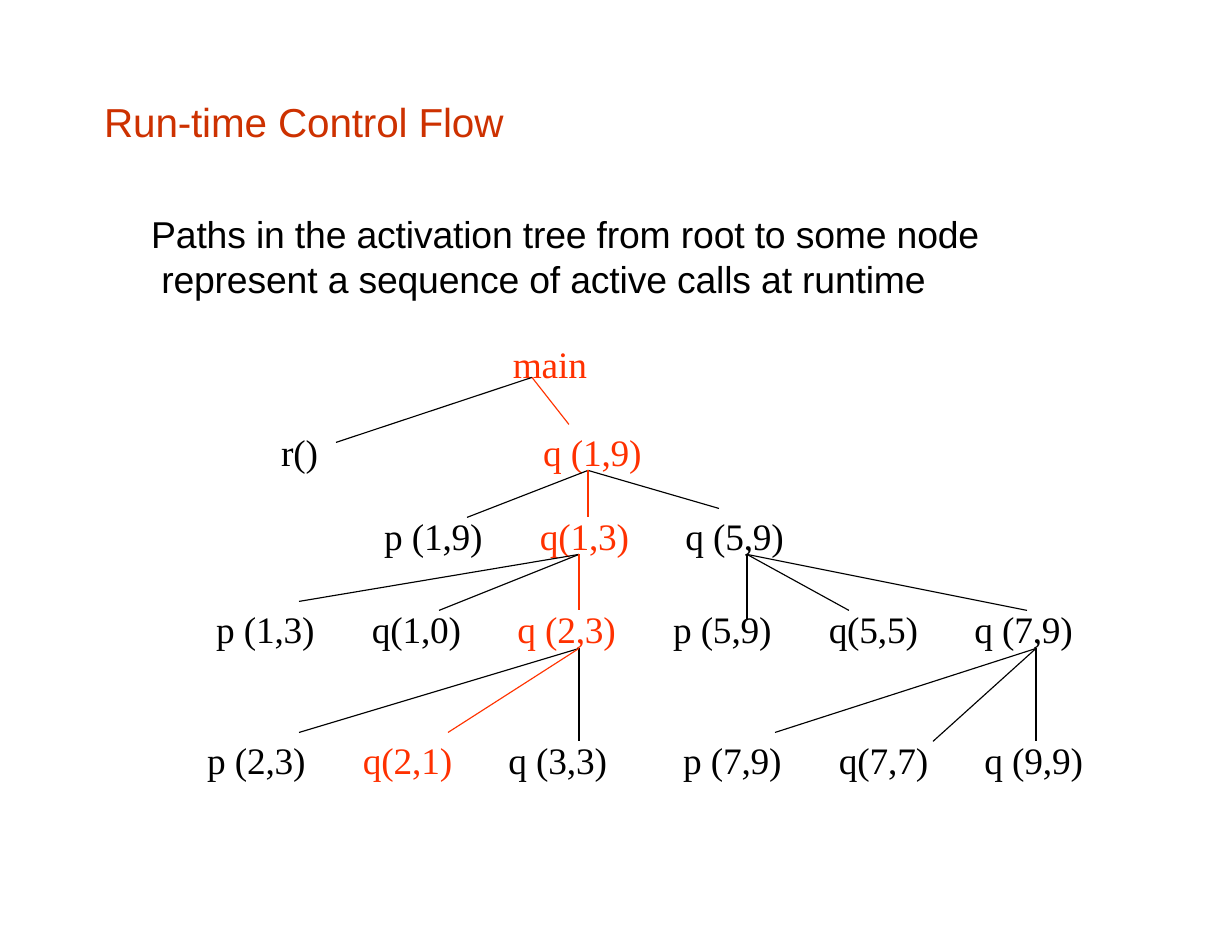
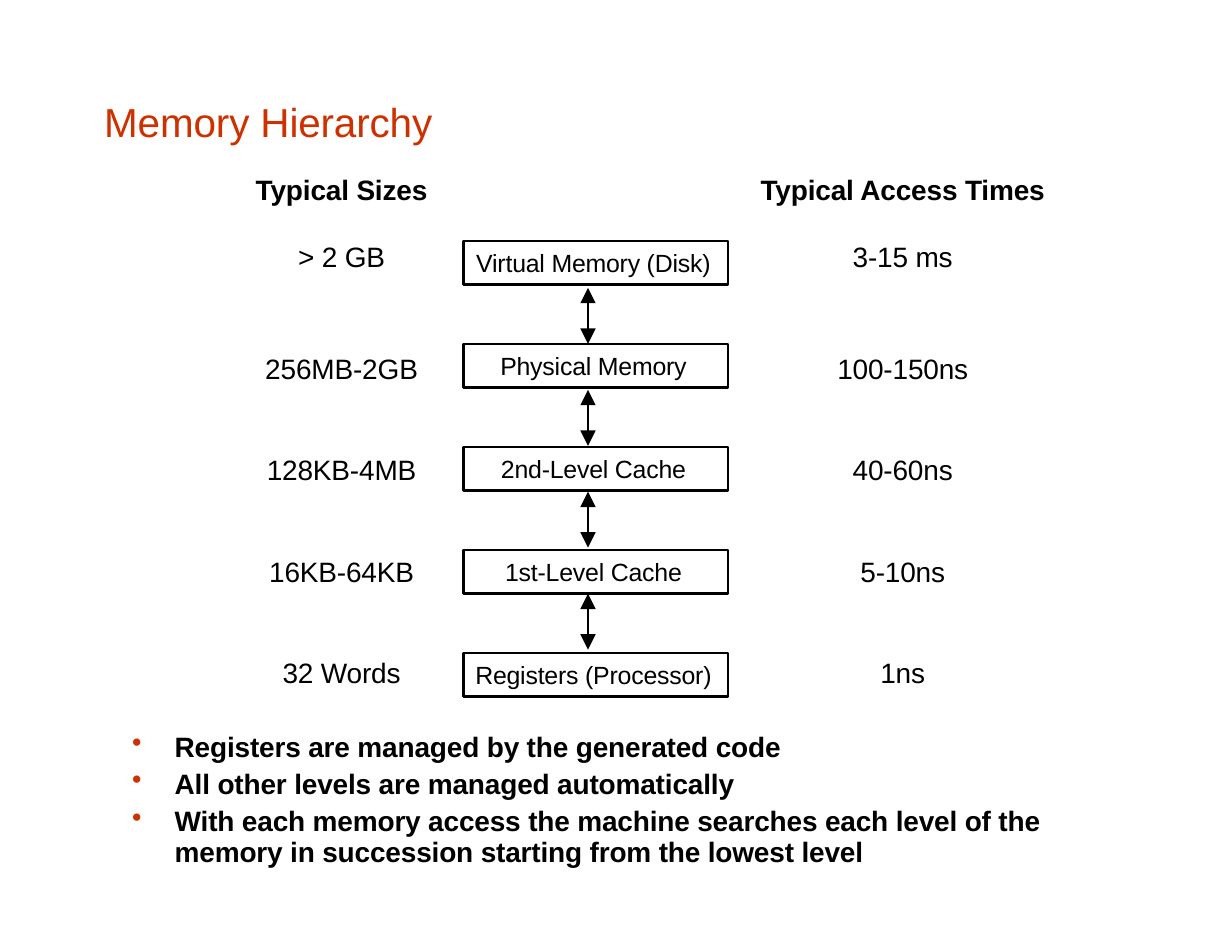
"""Builds two slides: a tree of procedure activations and the memory hierarchy."""
from lxml.etree import SubElement
from pptx import Presentation
from pptx.dml.color import RGBColor
from pptx.enum.shapes import MSO_CONNECTOR as Link, MSO_SHAPE as Preset
from pptx.enum.text import MSO_ANCHOR as Anchor, PP_ALIGN as Align
from pptx.oxml.ns import qn
from pptx.util import Inches, Pt

COLUMNS, ROWS = 11, 8.5
BLACK, TITLE_RED, CALL_RED, PATH_RED = "000000", "CD3100", "FF3100", "FF3300"
SANS, SERIF = "Arial", "Times New Roman"


def color(code):
    return RGBColor.from_string(code)


class Deck:
    def __init__(self):
        self.show = Presentation()
        self.show.slide_width, self.show.slide_height = Inches(11), Inches(8.5)
        self.shapes = None

    def x(self, columns):
        return round(self.show.slide_width * columns / COLUMNS)

    def y(self, rows):
        return round(self.show.slide_height * rows / ROWS)

    def cell(self, left, top, width, height):
        return self.x(left), self.y(top), self.x(width), self.y(height)

    def slide(self, title):
        self.shapes = self.show.slides.add_slide(self.show.slide_layouts[6]).shapes
        self.text(title, (0.93, 0.87, 9.16, 0.46), size=26, ink=TITLE_RED)

    def frame(self, shape, wrap=True, anchor=Anchor.TOP):
        layout = dict(word_wrap=wrap, vertical_anchor=anchor, margin_left=0,
                      margin_top=0, margin_right=0, margin_bottom=0)
        for name, value in layout.items():
            setattr(shape.text_frame, name, value)
        return shape.text_frame

    def fill_in(self, paragraph, words, size=18, ink=BLACK, face=SANS, bold=False, **spacing):
        for name, value in spacing.items():
            setattr(paragraph, name, value)
        run = paragraph.add_run()
        run.text = words
        for name, value in dict(size=Pt(size), name=face, bold=bold).items():
            setattr(run.font, name, value)
        run.font.color.rgb = color(ink)
        run._r.get_or_add_rPr().set("spc", "-10")

    def text(self, words, place, wrap=True, **style):
        box = self.shapes.add_textbox(*self.cell(*place))
        paragraph = self.frame(box, wrap).paragraphs[0]
        self.fill_in(paragraph, words, **style)
        return paragraph

    def indent(self, paragraph, margin, first):
        properties = paragraph._p.get_or_add_pPr()
        properties.set("marL", str(self.x(margin)))
        properties.set("indent", str(self.x(first)))
        return properties

    def bullets(self, points, place):
        frame = self.frame(self.shapes.add_textbox(*self.cell(*place)))
        for number, (words, spacing) in enumerate(points):
            paragraph = frame.add_paragraph() if number else frame.paragraphs[0]
            properties = self.indent(paragraph, 0.39, -0.38)
            tint = SubElement(properties, qn("a:buClr"))
            SubElement(tint, qn("a:srgbClr"), val=TITLE_RED)
            SubElement(properties, qn("a:buChar"), char="•")
            self.fill_in(paragraph, words, bold=True, **spacing)

    def box(self, words, place):
        level = self.shapes.add_shape(Preset.RECTANGLE, *self.cell(*place))
        level.shadow.inherit = False
        level.fill.background()
        level.line.color.rgb = color(BLACK)
        level.line.width = Pt(1.5)
        frame = self.frame(level, anchor=Anchor.MIDDLE)
        frame.margin_right = self.x(0.04)
        self.fill_in(frame.paragraphs[0], words, size=16, alignment=Align.CENTER)

    def line(self, start, end, ink=BLACK, weight=0.75, heads=False):
        link = self.shapes.add_connector(Link.STRAIGHT, self.x(start[0]), self.y(start[1]),
                                         self.x(end[0]), self.y(end[1]))
        link.line.color.rgb = color(ink)
        link.line.width = Pt(weight)
        if heads:
            for tip in ("a:headEnd", "a:tailEnd"):
                SubElement(link.line._get_or_add_ln(), qn(tip),
                           type="triangle", w="lg", len="lg")
        SubElement(link._element.spPr, qn("a:effectLst"))


def activation_tree(deck):
    deck.slide("Run-time Control Flow")
    claim = deck.text("Paths in the activation tree from root to some node represent "
                      "a sequence of active calls at runtime", (1.34, 1.89, 7.55, 0.8),
                      size=24, line_spacing=Pt(28.7))
    deck.indent(claim, 0.1, -0.09)

    active = {"main", "q (1,9)", "q(1,3)", "q (2,3)", "q(2,1)"}
    calls = [("main", 4.58, 3.05, 0.67), ("r()", 2.51, 3.83, 0.36), ("q (1,9)", 4.85, 3.83, 0.92)]
    families = [(3.43, 4.58, ("p (1,9)", "q(1,3)", "q (5,9)")),
                (1.93, 5.41, ("p (1,3)", "q(1,0)", "q (2,3)")),
                (6.01, 5.41, ("p (5,9)", "q(5,5)", "q (7,9)")),
                (1.85, 6.58, ("p (2,3)", "q(2,1)", "q (3,3)")),
                (6.1, 6.58, ("p (7,9)", "q(7,7)", "q (9,9)"))]
    for left, top, siblings in families:
        for call, offset, width in zip(siblings, (0, 1.39, 2.69), (0.92, 0.83, 0.92)):
            calls.append((call, left + offset, top, width))
    for call, left, top, width in calls:
        deck.text(call, (left, top, width, 0.42), wrap=False, size=24, face=SERIF,
                  ink=CALL_RED if call in active else BLACK)

    branches = [((4.75, 3.37), [(3, 3.95)], (5.08, 3.79)),
                ((5.25, 4.2), [(4.17, 4.62), (6.42, 4.54)], (5.25, 4.62)),
                ((5.17, 4.95), [(2.67, 5.37), (3.92, 5.45)], (5.17, 5.45)),
                ((6.67, 4.95), [(6.67, 5.54), (7.58, 5.45), (9.17, 5.45)], None),
                ((5.17, 5.79), [(5.17, 6.62), (2.67, 6.54)], (4, 6.54)),
                ((9.25, 5.79), [(9.25, 6.62), (8.33, 6.62), (6.92, 6.54)], None)]
    for caller, returned, running in branches:
        for callee in returned:
            deck.line(caller, callee)
        if running:
            deck.line(caller, running, ink=PATH_RED)


def memory_hierarchy(deck):
    deck.slide("Memory Hierarchy")
    deck.bullets([
        ("Registers are managed by the generated code", {}),
        ("All other levels are managed automatically", dict(space_before=Pt(2.2))),
        ("With each memory access the machine searches each level of the memory in "
         "succession starting from the lowest level",
         dict(space_before=Pt(4.6), line_spacing=Pt(19.6))),
    ], (1.17, 6.51, 8.3, 1.26))

    levels = ("Virtual Memory (Disk)", "Physical Memory", "2nd-Level Cache",
              "1st-Level Cache", "Registers (Processor)")
    for step, level in enumerate(levels):
        deck.box(level, (4.14, 2.15 + 0.92 * step, 2.36, 0.39))
        if step:
            top = 2.57 + 0.91 * (step - 1)
            deck.line((5.25, top), (5.25, top + 0.5), weight=1.5, heads=True)

    tops = (1.54, 2.14, 3.14, 4.04, 4.95, 5.85)
    sizes = [("Typical Sizes", 1.6), ("> 2 GB", 0.82), ("256MB-2GB", 1.4),
             ("128KB-4MB", 1.37), ("16KB-64KB", 1.33), ("32 Words", 1.1)]
    times = [("Typical Access Times", 2.63), ("3-15 ms", 0.93), ("100-150ns", 1.21),
             ("40-60ns", 0.93), ("5-10ns", 0.79), ("1ns", 0.43)]
    for middle, entries in ((3.05, sizes), (8.06, times)):
        for top, (entry, width) in zip(tops, entries):
            deck.text(entry, (middle - width / 2, top, width, 0.32), wrap=False,
                      bold=top == tops[0], alignment=Align.CENTER)


def main():
    deck = Deck()
    activation_tree(deck)
    memory_hierarchy(deck)
    deck.show.save("out.pptx")


if __name__ == "__main__":
    main()
